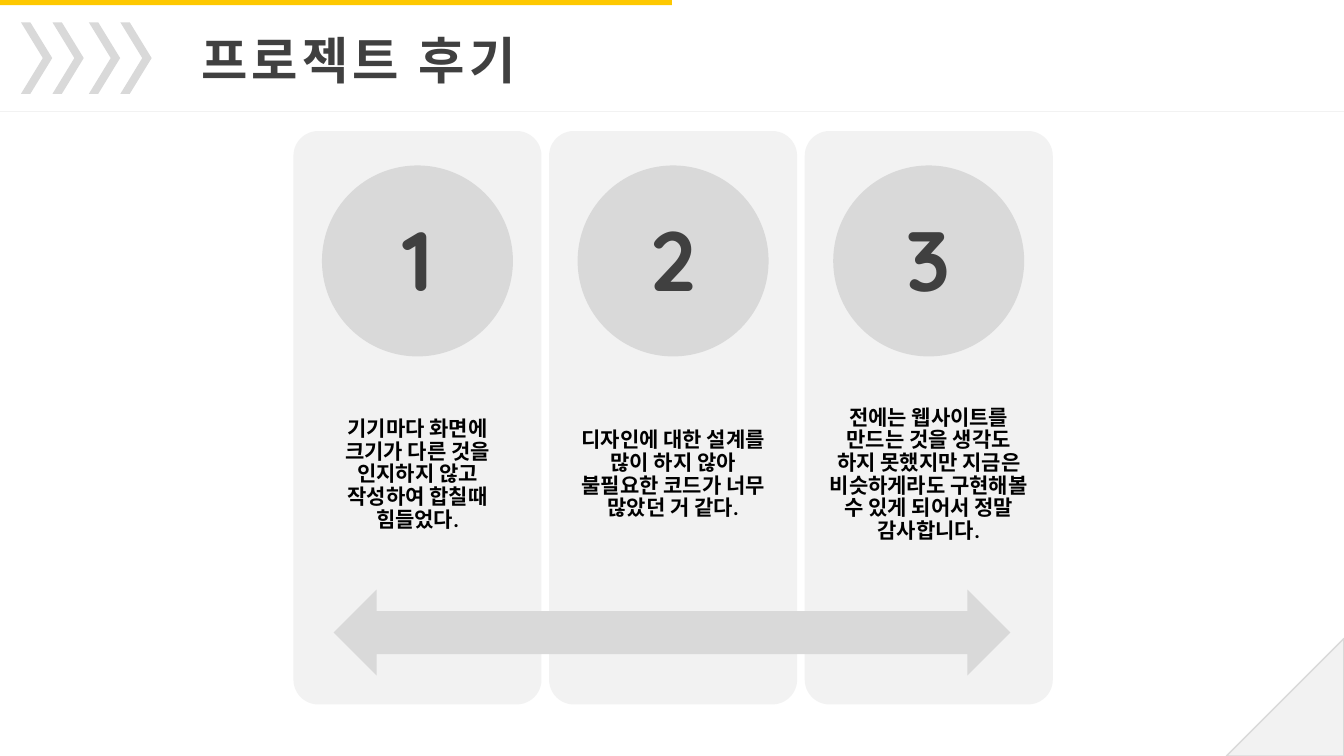
from pptx import Presentation
from pptx.dml.color import RGBColor
from pptx.enum.shapes import MSO_CONNECTOR, MSO_SHAPE as Kind
from pptx.enum.text import MSO_ANCHOR as Anchor, MSO_AUTO_SIZE as Auto, PP_ALIGN as Align
from pptx.oxml.ns import qn
from pptx.util import Pt
from lxml import etree

DARK, GREY, PALE, GOLD = "404040", "D9D9D9", "F2F2F2", "FEC800"


def color(fmt, code):
    fmt.rgb = RGBColor.from_string(code)


def shape(kind, x, y, w, h, fill, adj=()):
    item = deck.add_shape(kind, Pt(x), Pt(y), Pt(w), Pt(h))
    item.shadow.inherit = False
    item.fill.solid()
    color(item.fill.fore_color, fill)
    item.line.fill.background()
    for i, val in enumerate(adj):
        item.adjustments[i] = val
    return item


def write(frame, text, size, font="Quicksand", code=DARK, align=Align.CENTER,
          gap=None, track=None, wrap=True):
    """Fill a frame with one bold paragraph; track is letter spacing in points."""
    frame.word_wrap = wrap
    para = frame.paragraphs[0]
    para.alignment = align
    if gap:
        para.line_spacing = gap
    run = para.add_run()
    run.text = text
    run.font.size, run.font.name, run.font.bold = Pt(size), font, True
    color(run.font.color, code)
    if track:
        run.font._element.set("spc", str(track * 100))


prs = Presentation()
prs.slide_width, prs.slide_height = Pt(960), Pt(540)
deck = prs.slides.add_slide(prs.slide_layouts[6]).shapes

# Page corner and header
fold = shape(Kind.RIGHT_TRIANGLE, 876, 456, 84, 84, PALE)
fold._element.spPr.find(qn("a:xfrm")).set("flipH", "1")
color(fold.line.color, GREY)
fold.line.width = Pt(1)

shape(Kind.RECTANGLE, 0, 0, 480, 3.6, GOLD)

title = deck.add_textbox(Pt(113.8), Pt(17.3), Pt(262), Pt(50)).text_frame
title.auto_size = Auto.SHAPE_TO_FIT_TEXT
write(title, "프로젝트 후기", 36, align=Align.RIGHT, track=3, wrap=False)

rule = deck.add_connector(MSO_CONNECTOR.STRAIGHT, 0, Pt(79.2), Pt(960), Pt(79.2))
color(rule.line.color, PALE)
rule.line.width = Pt(0.5)
etree.SubElement(rule._element.spPr, qn("a:effectLst"))

for x in (15, 37.5, 63.5, 86):
    shape(Kind.CHEVRON, x, 16, 22.3, 51, GREY, [0.7])

# Cards
notes = [
    "기기마다 화면에 크기가 다른 것을 인지하지 않고 작성하여 합칠때 힘들었다.",
    "디자인에 대한 설계를 많이 하지 않아 불필요한 코드가 너무 많았던 거 같다.",
    "전에는 웹사이트를 만드는 것을 생각도 하지 못했지만 지금은 비슷하게라도 "
    "구현해볼 수 있게 되어서 정말 감사합니다.",
]
left, step, wide = 209.6, 182.6, 177.2
for i, note in enumerate(notes):
    x = left + i * step
    card = shape(Kind.ROUNDED_RECTANGLE, x, 93.6, wide, 409.6, PALE, [0.1])
    frame = card.text_frame
    frame.margin_left = frame.margin_right = Pt(11.4)
    frame.margin_top, frame.margin_bottom = Pt(175.5), Pt(93.5)
    frame.vertical_anchor = Anchor.MIDDLE
    write(frame, note, 15, "Calibri", "000000", gap=0.9)
    shape(Kind.OVAL, x + (wide - 136.4) / 2, 118.2, 136.4, 136.4, GREY)

shape(Kind.LEFT_RIGHT_ARROW, 238.3, 421.2, 483.4, 61.4, GREY, [0.5, 0.5])

for i in range(len(notes)):
    x = left + i * step + (wide - 60) / 2
    num = deck.add_textbox(Pt(x), Pt(144.7), Pt(60), Pt(79.2)).text_frame
    num.auto_size = Auto.SHAPE_TO_FIT_TEXT
    write(num, str(i + 1), 60)

prs.save("out.pptx")
